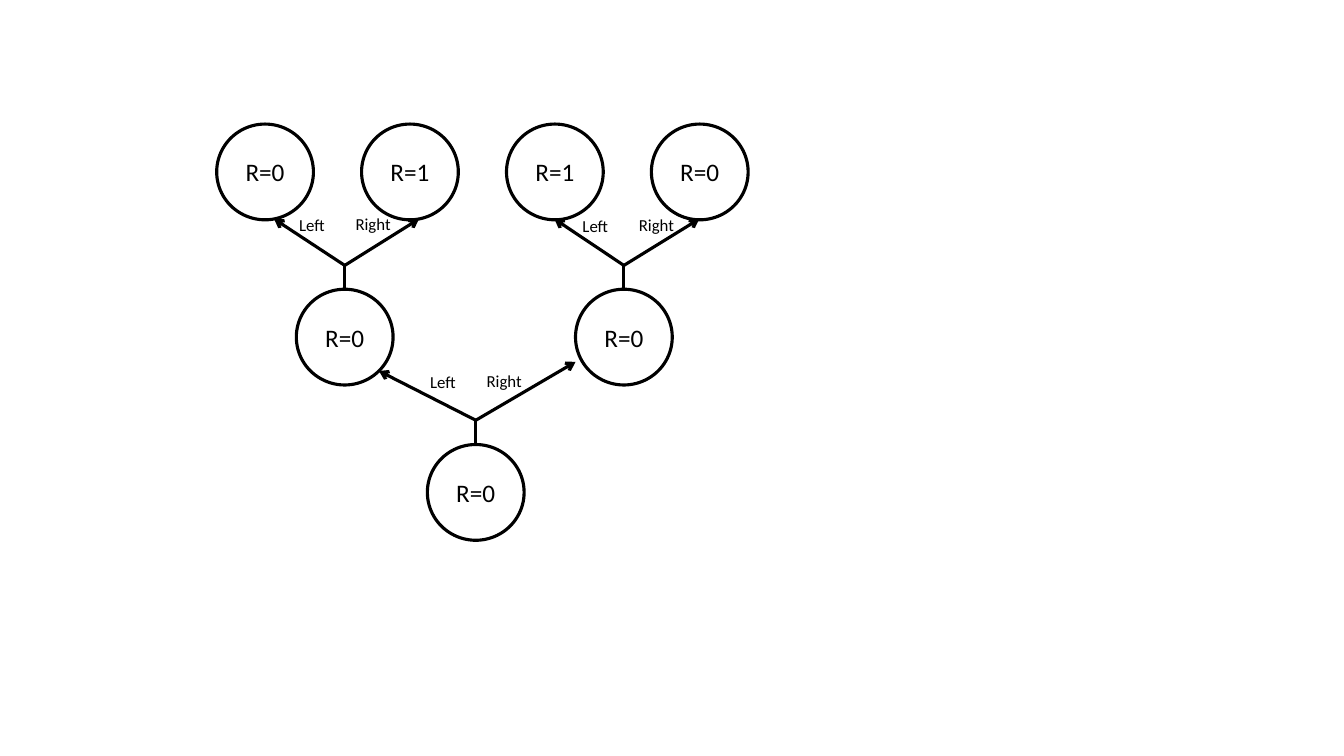
"""Draw a binary tree of result nodes with left and right branches."""
from dataclasses import dataclass

from lxml import etree
from pptx import Presentation
from pptx import util as u
from pptx.dml.color import RGBColor
from pptx.enum import shapes, text
from pptx.oxml.ns import qn


@dataclass(frozen=True)
class Theme:
    ink: RGBColor = RGBColor(0, 0, 0)
    font: str = "Calibri"
    node_size: float = 18
    label_size: float = 12
    line_width: float = 2.25


class TreeSlide:
    node_width, node_height = 69.1, 68.4
    label_width, label_height, label_gap = 53.3, 21.6, 40.3

    def __init__(self, slide, theme):
        self.slide = slide
        self.theme = theme

    def style_line(self, shape):
        shape.line.color.rgb = self.theme.ink
        shape.line.width = u.Pt(self.theme.line_width)

    def set_text(self, frame, words, size):
        paragraph = frame.paragraphs[0]
        paragraph.text = words
        paragraph.font.name = self.theme.font
        paragraph.font.size = u.Pt(size)
        paragraph.font.color.rgb = self.theme.ink
        return paragraph

    def node(self, left, top, words):
        shape = self.slide.shapes.add_shape(
            shapes.MSO_SHAPE.OVAL, u.Pt(left), u.Pt(top),
            u.Pt(self.node_width), u.Pt(self.node_height))
        shape.shadow.inherit = False
        shape.fill.background()
        self.style_line(shape)
        shape.text_frame.vertical_anchor = text.MSO_ANCHOR.MIDDLE
        paragraph = self.set_text(shape.text_frame, words, self.theme.node_size)
        paragraph.alignment = text.PP_ALIGN.CENTER
        return shape

    def connector(self, start, end, arrow=False):
        line = self.slide.shapes.add_connector(
            shapes.MSO_CONNECTOR.STRAIGHT, *map(u.Pt, (*start, *end)))
        self.style_line(line)
        if arrow:
            etree.SubElement(line.get_or_add_ln(), qn("a:tailEnd"), type="arrow")
        etree.SubElement(line._element.spPr, qn("a:effectLst"))
        return line

    def label(self, left, top, words):
        box = self.slide.shapes.add_textbox(
            u.Pt(left), u.Pt(top), u.Pt(self.label_width), u.Pt(self.label_height))
        box.text_frame.word_wrap = True
        box.text_frame.auto_size = text.MSO_AUTO_SIZE.SHAPE_TO_FIT_TEXT
        self.set_text(box.text_frame, words, self.theme.label_size)

    def branch(self, parent, fork_y, left_tip, right_tip, label_at):
        center = parent.left.pt + parent.width.pt / 2
        fork = center, fork_y
        stem = self.connector((center, parent.top.pt), fork)
        stem.begin_connect(parent, 0)
        for tip in (right_tip, left_tip):
            self.connector(fork, tip, arrow=True)
        left, top = label_at
        self.label(left, top, "Left")
        self.label(left + self.label_gap, top - 0.7, "Right")


def main():
    presentation = Presentation()
    presentation.slide_width, presentation.slide_height = u.Pt(960), u.Pt(540)
    slide = presentation.slides.add_slide(presentation.slide_layouts[6])
    tree = TreeSlide(slide, Theme())

    leaf_left, leaf_step, leaf_top = 154.8, 103.5, 88.6
    for index, result in enumerate((0, 1, 1, 0)):
        tree.node(leaf_left + index * leaf_step, leaf_top, f"R={result}")
    left_child, right_child = [tree.node(left, 206.6, "R=0") for left in (211.7, 411.1)]
    root = tree.node(305.3, 317.5, "R=0")

    tree.branch(root, 300.2, (270.7, 265), (411.1, 258.5), (300.2, 262.1))
    for child, tip_x, label_at in ((left_child, 195.8, (206.6, 149.8)),
                                   (right_child, 396, (409, 150.5))):
        tree.branch(child, 189.6, (tip_x, 156.4), (tip_x + leaf_step, 156.4), label_at)

    presentation.save("out.pptx")


if __name__ == "__main__":
    main()
